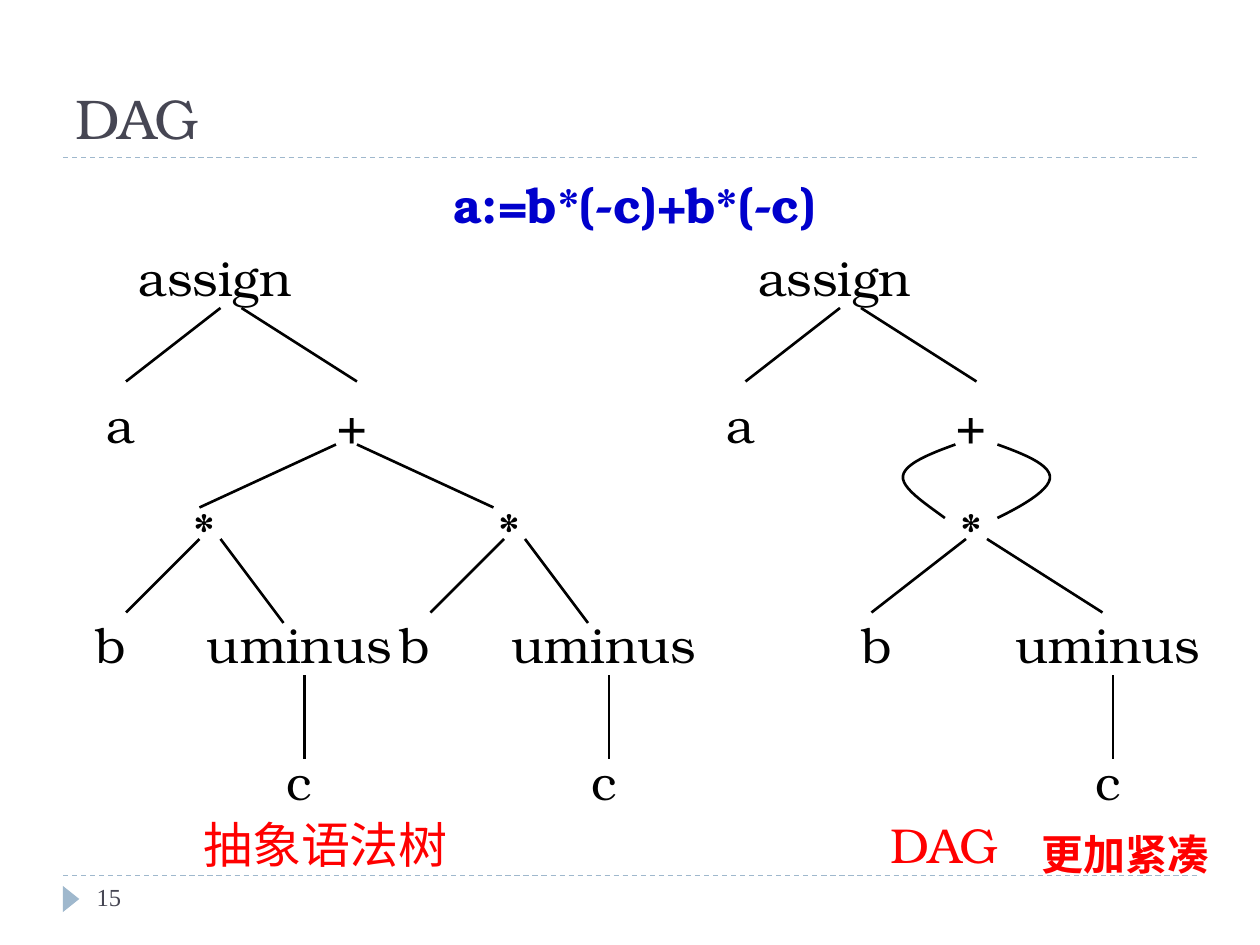
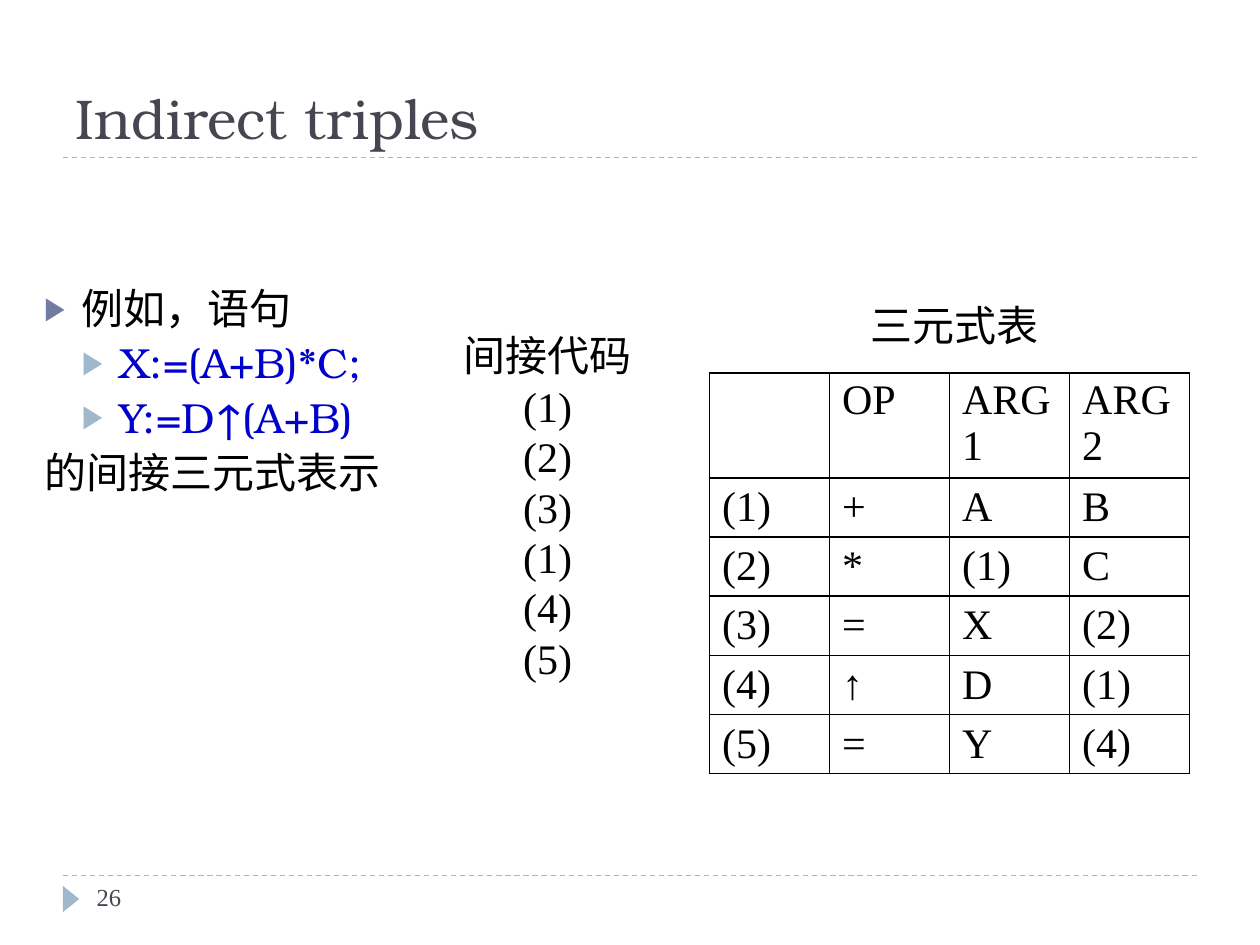
from lxml import etree
from pptx import Presentation
from pptx import util as u
from pptx.dml.color import RGBColor
from pptx.enum import dml, shapes, text
from pptx.oxml import ns

Pt = u.Pt
SERIF, TIMES, ARIAL = "TeX Gyre Bonum", "Times New Roman", "Arial"
BLACK, BLUE, RED = "000000", "0000CC", "FF0000"
SLATE, SKY, INDIGO = "464653", "9FB8CD", "727CA3"

# Slide 1: nodes are (text, left, top), edges are (x1, y1, x2, y2)
FORMULA = "a:=b*(-c)+b*(-c)"
NODE_WIDTH, LONG_NODE_WIDTH, NODE_HEIGHT = 78, 112, 48
DAG_SHIFT = 354
TOP_NODES = [("assign", 84, 134), ("a", 30, 218), ("+", 162, 218)]
TOP_EDGES = [(126, 176, 72, 218), (138, 176, 204, 218)]

# Product subtrees, measured from the left of their "*" node
TREE_STARTS = [78, 252]
TREE_NODES = [("*", 0, 278), ("b", -54, 344), ("uminus", 54, 344), ("c", 54, 422)]
TREE_EDGES = [(36, 308, -6, 350), (48, 308, 84, 356), (96, 386, 96, 434)]
PLUS_EDGES = [(192, 254, 114, 290), (204, 254, 282, 290)]
DAG_START = 516
DAG_NODES = [("*", 0, 278), ("b", -54, 344), ("uminus", 78, 344), ("c", 78, 422)]
DAG_EDGES = [(36, 308, -18, 350), (48, 308, 114, 350), (120, 386, 120, 434)]

# Shared operand loops: Bezier points as distance from the axis and height
LOOP_AXIS = 558
LOOP_CURVES = [
    [(12, 254), (26.4, 259.2), (41, 265), (42, 272)],
    [(42, 272), (43, 278.6), (30, 287.3), (18, 296)],
]
LOOP_SIDES = [(-1, 0), (1, -6)]  # direction, shift of the lower end
CAPTIONS = [("抽象语法树", 108, 458, 156), ("DAG", 480, 458, 120)]

# Slide 2: list items are (text, level, bullet colour, text colour)
STATEMENTS = [
    ("例如，语句", 0, INDIGO, BLACK),
    ("X:=(A+B)*C;", 1, SKY, BLUE),
    ("Y:=D↑(A+B)", 1, SKY, BLUE),
    ("的间接三元式表示", 0, None, BLACK),
]
INDIRECT_CODE = ["间接代码", "(1)", "(2)", "(3)", "(1)", "(4)", "(5)"]
TRIPLES = [
    ("", "OP", "ARG1", "ARG2"),
    ("(1)", "+", "A", "B"),
    ("(2)", "*", "(1)", "C"),
    ("(3)", "=", "X", "(2)"),
    ("(4)", "↑", "D", "(1)"),
    ("(5)", "=", "Y", "(4)"),
]
HEADER_MARGINS, ROW_MARGINS = (2.4, 0), (3.6, 1.3)  # top, bottom


def color(value):
    return RGBColor.from_string(value)


def add_xml(parent, tag, **attributes):
    return etree.SubElement(parent, ns.qn(tag), **attributes)


def style(para, size, font, ink, bold=False):
    para.font.size, para.font.name, para.font.bold = Pt(size), font, bold
    para.font.color.rgb = color(ink)


def place(shape, left, top, width, height):
    shape.left, shape.top = Pt(left), Pt(top)
    shape.width, shape.height = Pt(width), Pt(height)


def add_text(page, lines, frame, size=28, font=SERIF, ink=BLACK, bold=False,
             center=False, middle=False, wrap=False):
    box = page.shapes.add_textbox(*map(Pt, frame)).text_frame
    box.word_wrap = wrap
    if middle:
        box.margin_left = box.margin_right = 0
    box.vertical_anchor = text.MSO_ANCHOR.MIDDLE if middle else text.MSO_ANCHOR.TOP
    for i, line in enumerate(lines):
        para = box.paragraphs[0] if i == 0 else box.add_paragraph()
        para.text = line
        para.alignment = text.PP_ALIGN.CENTER if center else text.PP_ALIGN.LEFT
        style(para, size, font, ink, bold)


def add_line(page, ends, ink=BLACK, width=1.5, dashed=False):
    line = page.shapes.add_connector(shapes.MSO_CONNECTOR.STRAIGHT, *map(Pt, ends))
    line.line.color.rgb = color(ink)
    line.line.width = Pt(width)
    if dashed:
        line.line.dash_style = dml.MSO_LINE.DASH
    add_xml(line._element.spPr, "a:effectLst")


def indent(para, left, first):
    props = para._p.get_or_add_pPr()
    props.set("marL", str(Pt(left)))
    props.set("indent", str(Pt(first)))
    return props


def set_bullet(props, ink):
    if ink is None:
        add_xml(props, "a:buNone")
        return
    add_xml(add_xml(props, "a:buClr"), "a:srgbClr", val=ink)
    add_xml(props, "a:buSzPct", val="76000")
    add_xml(props, "a:buFont", typeface=ARIAL)
    add_xml(props, "a:buChar", char="▶")


def add_page(deck, heading, number):
    """Add a slide with its title, rules, marker and page number."""
    page = deck.slides.add_slide(deck.slide_layouts[1])
    for y in (500.4, 90):
        add_line(page, (36, y, 684, y), SKY, 0.75, dashed=True)
    marker = page.shapes.add_shape(
        shapes.MSO_SHAPE.ISOSCELES_TRIANGLE, Pt(33.1), Pt(509), Pt(15), Pt(9.4))
    marker.rotation = 90
    marker.shadow.inherit = False
    marker.fill.solid()
    marker.fill.fore_color.rgb = color(SKY)
    marker.line.fill.background()

    title = page.shapes.title
    place(title, 36, 12, 648, 78)
    title.text_frame.text = heading
    title.text_frame.auto_size = text.MSO_AUTO_SIZE.NONE
    title.text_frame.vertical_anchor = text.MSO_ANCHOR.BOTTOM
    para = title.text_frame.paragraphs[0]
    para.alignment = text.PP_ALIGN.LEFT
    style(para, 32, SERIF, SLATE)
    add_text(page, [number], (48.2, 500.4, 156, 29), 14, TIMES, SLATE, wrap=True)
    return page


def add_graph(page, nodes, edges, shift):
    for label, left, top in nodes:
        width = LONG_NODE_WIDTH if len(label) > 1 else NODE_WIDTH
        left += shift - (width - NODE_WIDTH) / 2
        add_text(page, [label], (left, top, width, NODE_HEIGHT), center=True, middle=True)
    for x1, y1, x2, y2 in edges:
        add_line(page, (x1 + shift, y1, x2 + shift, y2))


def bezier(points, steps=12):
    for step in range(1, steps + 1):
        t = step / steps
        weights = ((1 - t) ** 3, 3 * t * (1 - t) ** 2, 3 * t * t * (1 - t), t ** 3)
        yield tuple(sum(w * p[k] for w, p in zip(weights, points)) for k in (0, 1))


def add_loop(page, side, end_shift):
    upper, lower = LOOP_CURVES
    lower = lower[:-1] + [(lower[-1][0] + end_shift, lower[-1][1])]
    outline = [upper[0], *bezier(upper), *bezier(lower)]
    points = [(Pt(LOOP_AXIS + side * x), Pt(y)) for x, y in outline]
    builder = page.shapes.build_freeform(*points[0])
    builder.add_line_segments(points[1:], close=False)
    loop = builder.convert_to_shape()
    loop.shadow.inherit = False
    loop.fill.background()
    loop.line.color.rgb = color(BLACK)
    loop.line.width = Pt(1.5)


def build_dag_page(deck):
    page = add_page(deck, "DAG", "15")
    body = page.placeholders[1]
    place(body, 36, 96, 648, 44)
    body.text_frame.text = FORMULA
    para = body.text_frame.paragraphs[0]
    para.space_before = Pt(6)
    set_bullet(indent(para, 216, 0), None)
    style(para, 28, SERIF, BLUE, bold=True)

    # Syntax tree on the left, graph on the right
    for shift in (0, DAG_SHIFT):
        add_graph(page, TOP_NODES, TOP_EDGES, shift)
    add_graph(page, [], PLUS_EDGES, 0)
    for start in TREE_STARTS:
        add_graph(page, TREE_NODES, TREE_EDGES, start)
    add_graph(page, DAG_NODES, DAG_EDGES, DAG_START)
    for side, end_shift in LOOP_SIDES:
        add_loop(page, side, end_shift)

    # Captions
    for label, left, top, width in CAPTIONS:
        add_text(page, [label], (left, top, width, 48), ink=RED, center=True, middle=True)
    add_text(page, ["更加紧凑"], (588, 470, 114, 36), 24, ink=RED, bold=True, wrap=True)


def add_triples(page):
    frame = map(Pt, (405.4, 213.1, 274.4, 203))
    table = page.shapes.add_table(len(TRIPLES), len(TRIPLES[0]), *frame).table
    table.first_row = table.horz_banding = False
    for column in table.columns:
        column.width = Pt(68.6)
    for r, row in enumerate(TRIPLES):
        table.rows[r].height = Pt(33.8)
        top, bottom = ROW_MARGINS if r else HEADER_MARGINS
        for c, value in enumerate(row):
            cell = table.cell(r, c)
            cell.text = value
            cell.margin_top, cell.margin_bottom = Pt(top), Pt(bottom)
            style(cell.text_frame.paragraphs[0], 24, ARIAL if value == "↑" else TIMES, BLACK)
            props = cell._tc.get_or_add_tcPr()
            for edge in ("a:lnL", "a:lnR", "a:lnT", "a:lnB"):
                border = add_xml(props, edge, w=str(Pt(1)))
                add_xml(add_xml(border, "a:solidFill"), "a:srgbClr", val=BLACK)
            cell.fill.background()


def build_triples_page(deck):
    page = add_page(deck, "Indirect triples", "26")
    body = page.placeholders[1]
    place(body, 18, 161.3, 234, 138)
    frame = body.text_frame
    frame.auto_size = text.MSO_AUTO_SIZE.NONE
    for i, (line, level, bullet, ink) in enumerate(STATEMENTS):
        para = frame.paragraphs[0] if i == 0 else frame.add_paragraph()
        para.text, para.level = line, level
        para.line_spacing = 0.9
        para.space_before = Pt(6 - level)
        set_bullet(indent(para, 21.6 * (level + 1), -21.6), bullet)
        style(para, 24, SERIF, ink)

    add_triples(page)
    add_text(page, ["三元式表"], (490.3, 167.8, 114, 36), 24, TIMES)
    add_text(page, INDIRECT_CODE, (256, 185, 114, 211), 24, TIMES, center=True)


def main():
    deck = Presentation()
    deck.slide_width, deck.slide_height = Pt(720), Pt(540)
    build_dag_page(deck)
    build_triples_page(deck)
    deck.save("out.pptx")


if __name__ == "__main__":
    main()
